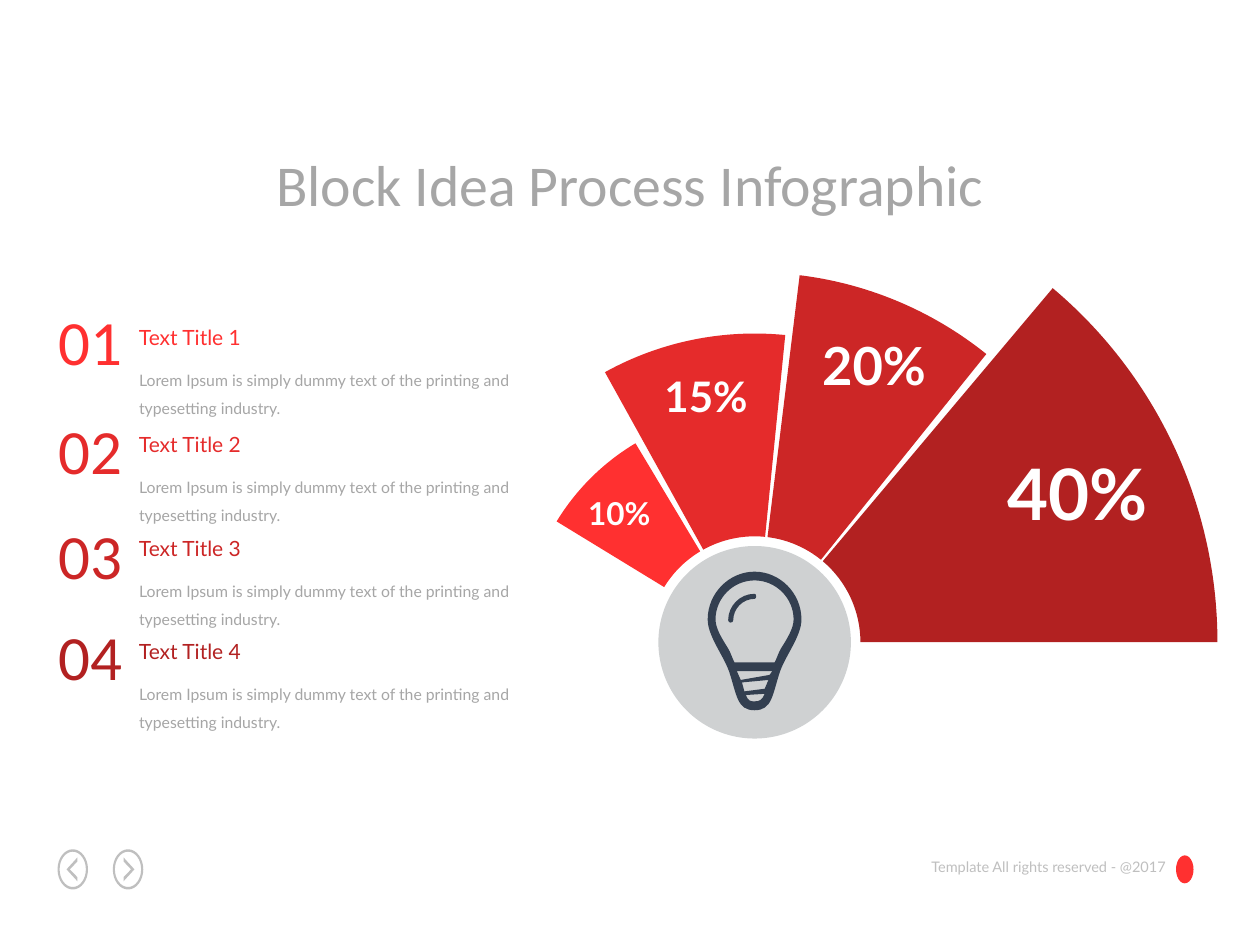
import math

import lxml.etree
import pptx
import pptx.dml.color
import pptx.enum.shapes
import pptx.enum.text
import pptx.oxml.ns
import pptx.util

Pt = pptx.util.Pt
RGB = pptx.dml.color.RGBColor
ALIGN = pptx.enum.text.PP_ALIGN
OVAL = pptx.enum.shapes.MSO_SHAPE.OVAL
qn = pptx.oxml.ns.qn

REDS = [RGB(0xFF, 0x30, 0x30), RGB(0xE5, 0x2B, 0x2B),
        RGB(0xCC, 0x26, 0x26), RGB(0xB2, 0x21, 0x21)]
GRAY = RGB(0xA6, 0xA6, 0xA6)
LIGHT_GRAY = RGB(0xBF, 0xBF, 0xBF)
HUB_GRAY = RGB(0xCF, 0xD1, 0xD2)
NAVY = RGB(0x33, 0x3F, 0x50)
WHITE = RGB(0xFF, 0xFF, 0xFF)

CX, CY = 431.2, 367  # centre of the fan
HUB_RADIUS, INNER_RADIUS = 55, 60.5

BODY = "Lorem Ipsum is simply dummy text of the printing and typesetting industry."
# tops of number, title and body text
ROWS = [(169.1, 181.9, 202.8), (231.6, 243.1, 264),
        (291.7, 302.4, 323.3), (349.5, 361.4, 382.3)]

# outer radius, start angle, end angle, label, label size, label box
WEDGES = [
    (132.5, 148.6, 120.9, "10%", 18, (328.7, 278.6, 50.4, 28.8)),
    (176.4, 119, 84.3, "15%", 24, (372.2, 208.1, 62.6, 36)),
    (211.3, 83, 51.2, "20%", 30, (462.4, 186.5, 74.2, 43.9)),
    (264.5, 49.9, 0, "40%", 40.5, (568.1, 253.4, 95.8, 56.2)),
]

# An outline is a start point, then steps: (point,) is a line and
# (control, control, point) a curve. Bulb points are relative to the fan centre.
BULB_OUTER = [(0, -40.3), (14.4, -40.3), (26.8, -28.1), (26.8, -13),
              (26.8, -3.6), (18, 7.2), (14.6, 16.6),
              (10.1, 30.2), (10.1, 38.9), (0, 38.9)]
BULB_GLASS = [(0, -35.3), (12.2, -35.3), (22.3, -25.2), (22.3, -13),
              (22.3, -7.9), (18.7, -2.2), (15.1, 3.6),
              (13.7, 5.8), (13, 8.6), (11.5, 11.5)]
BULB_GAPS = [
    [(-7.9, 21.6), ((-10.1, 16.6),), ((10.1, 16.6),), ((8.6, 18.7),)],
    [(5.8, 26.6), ((-5.8, 28.1),), ((-7.2, 23),), ((7.9, 21.6),)],
    [(-5, 30.2), ((5.8, 29.5),), ((4.3, 33.1), (2.9, 33.8), (0, 33.8)),
     ((-2.2, 33.8), (-3.6, 33.8), (-5, 30.2))],
]
GLEAM = [(0, -27.7), ((-8.3, -27.7), (-15.1, -20.9), (-15.1, -12.6)),
         ((-15.1, -10.8), (-12.2, -10.8), (-12.2, -12.6)),
         ((-12.2, -19.3), (-6.7, -24.8), (0, -24.8)),
         ((1.2, -24.8), (1.2, -27.7), (0, -27.7))]


def add_text(s, box, text, font, size, color, align=ALIGN.LEFT, bold=False):
    sp = s.shapes.add_textbox(*map(Pt, box))
    tf = sp.text_frame
    tf.word_wrap = False
    tf.auto_size = pptx.enum.text.MSO_AUTO_SIZE.SHAPE_TO_FIT_TEXT
    tf.text = text
    p = tf.paragraphs[0]
    p.alignment = align
    f = p.runs[0].font
    f.name, f.size, f.bold = font, Pt(size), bold
    f.color.rgb = color
    return tf


def paint(sp, color):
    sp.shadow.inherit = False
    sp.fill.solid()
    sp.fill.fore_color.rgb = color
    sp.line.fill.background()


def add_oval(s, cx, cy, rx, ry, color):
    paint(s.shapes.add_shape(OVAL, Pt(cx - rx), Pt(cy - ry), Pt(2 * rx), Pt(2 * ry)),
          color)


def add_outline(s, outlines, color, dx=0, dy=0):
    def place(point):
        return Pt(point[0] + dx), Pt(point[1] + dy)

    builder = s.shapes.build_freeform(*place(outlines[0][0]))
    for i, (start, *steps) in enumerate(outlines):
        if i:
            builder.move_to(*place(start))
        builder.add_line_segments([place(step[-1]) for step in steps], close=True)
    sp = builder.convert_to_shape()
    paint(sp, color)

    # Bend the lines that have control points
    lines = list(sp._element.iter(qn("a:lnTo")))
    for line, step in zip(lines, [step for o in outlines for step in o[1:]]):
        if len(step) == 3:
            line.tag = qn("a:cubicBezTo")
            for i, point in enumerate(step[:2]):
                x, y = place(point)
                pt = lxml.etree.Element(qn("a:pt"), x=str(x - sp.left), y=str(y - sp.top))
                line.insert(i, pt)


def arc(radius, start, end):
    a, b = math.radians(start), math.radians(end)
    k = 4 / 3 * math.tan((b - a) / 4)
    first = (radius * math.cos(a), -radius * math.sin(a))
    last = (radius * math.cos(b), -radius * math.sin(b))
    return first, ((first[0] + k * first[1], first[1] - k * first[0]),
                   (last[0] - k * last[1], last[1] + k * last[0]), last)


def ring_sector(inner, outer, start, end):
    outer_start, outer_curve = arc(outer, start, end)
    inner_start, inner_curve = arc(inner, end, start)
    return [outer_start, outer_curve, (inner_start,), inner_curve]


def ellipse(rx, ry):
    curves = [arc(1, a, a + 90)[1] for a in range(0, 360, 90)]
    return [(rx, 0)] + [tuple((x * rx, y * ry) for x, y in c) for c in curves]


def symmetric(half):
    left = [(-x, y) for x, y in reversed(half)]
    curves = [[tuple(side[i:i + 3]) for i in range(1, len(side), 3)]
              for side in (half, left)]
    bottom = [] if half[-1][0] == 0 else [(left[0],)]
    return [half[0]] + curves[0] + bottom + curves[1]


def add_bulb(s):
    outlines = [symmetric(BULB_OUTER), symmetric(BULB_GLASS)] + BULB_GAPS
    add_outline(s, outlines, NAVY, CX, CY)
    add_outline(s, [GLEAM], NAVY, CX, CY)


def add_fan(s):
    add_oval(s, CX, CY, HUB_RADIUS, HUB_RADIUS, HUB_GRAY)
    for color, (radius, start, end, label, size, box) in zip(REDS, WEDGES):
        add_outline(s, [ring_sector(INNER_RADIUS, radius, start, end)], color, CX, CY)
        add_text(s, box, label, "Lato", size, WHITE, ALIGN.CENTER, True)


def add_row(s, number, tops, color):
    number_top, title_top, body_top = tops
    add_text(s, (23.5, number_top, 56.9, 51.1), f"{number:02}", "Calibri", 36,
             color, ALIGN.CENTER)
    add_text(s, (72.3, title_top, 75.6, 21.6), f"Text Title {number}", "Lato", 12, color)
    tf = add_text(s, (79.5, body_top, 216, 40.3), BODY, "Lato", 9, GRAY)
    tf.word_wrap = True
    tf.margin_left = tf.margin_right = 0
    tf.paragraphs[0].line_spacing = 1.5


def add_nav_button(s, cx, direction):
    cy = 496.8
    add_outline(s, [ellipse(8.7, 11.5), ellipse(7.5, 10.1)], LIGHT_GRAY, cx, cy)
    start, *rest = [(direction * x, y) for x, y in
                    [(-2.6, -4.5), (1.7, 0), (-2.6, 4.5), (-2.6, 6.8), (3.6, 0), (-2.6, -6.8)]]
    add_outline(s, [[start] + [(point,) for point in rest]], LIGHT_GRAY, cx, cy)


def main():
    prs = pptx.Presentation()
    prs.slide_width, prs.slide_height = Pt(720), Pt(540)
    s = prs.slides.add_slide(prs.slide_layouts[6])

    # Footer
    add_text(s, (522, 486.7, 151.2, 17.3), "Template All rights reserved - @2017",
             "Lato", 8.3, LIGHT_GRAY, ALIGN.RIGHT)
    add_nav_button(s, 41.6, -1)
    add_nav_button(s, 73.2, 1)
    add_oval(s, 677, 496.8, 5, 8, REDS[0])

    # Title
    add_text(s, (129.6, 81.4, 460.8, 47.5), "Block Idea Process Infographic",
             "Calibri", 33, GRAY, ALIGN.CENTER)

    # Fan of shares around the bulb
    add_fan(s)
    add_bulb(s)

    # Numbered list
    for number, (tops, color) in enumerate(zip(ROWS, REDS), 1):
        add_row(s, number, tops, color)

    prs.save("out.pptx")


if __name__ == "__main__":
    main()
